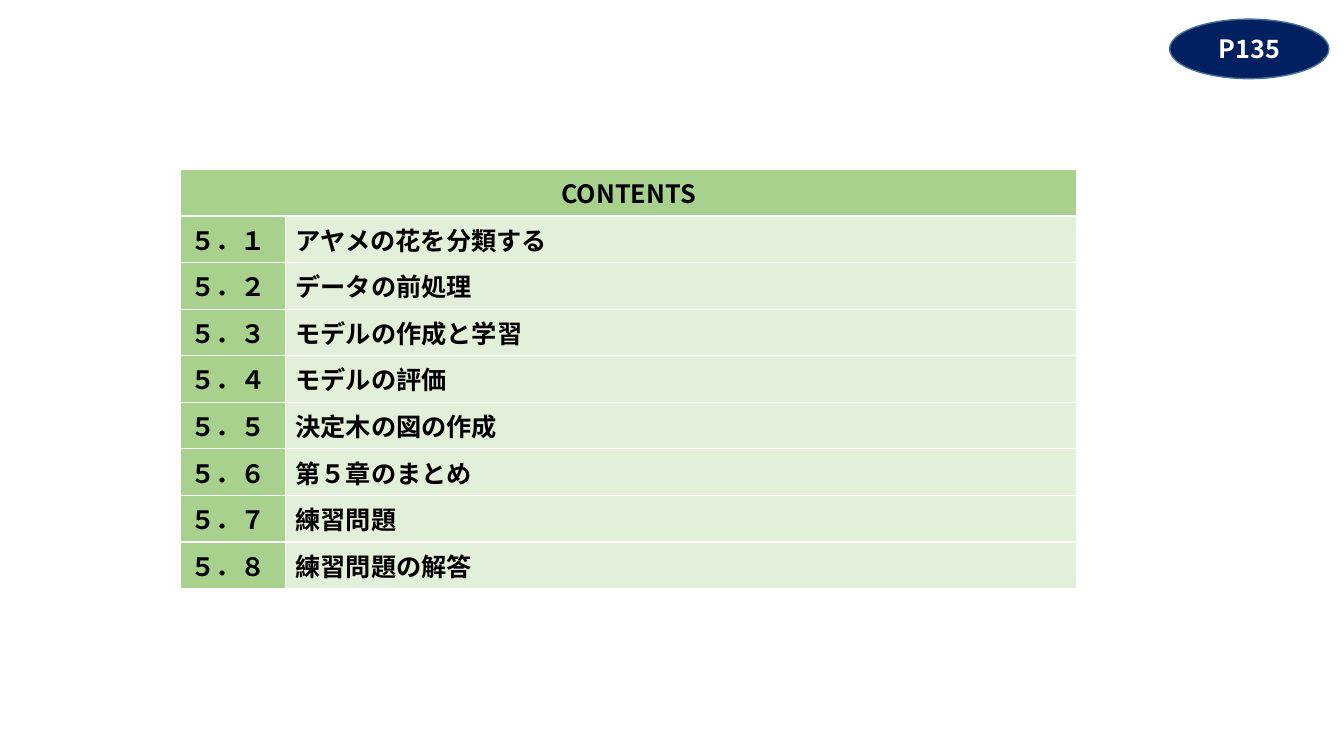
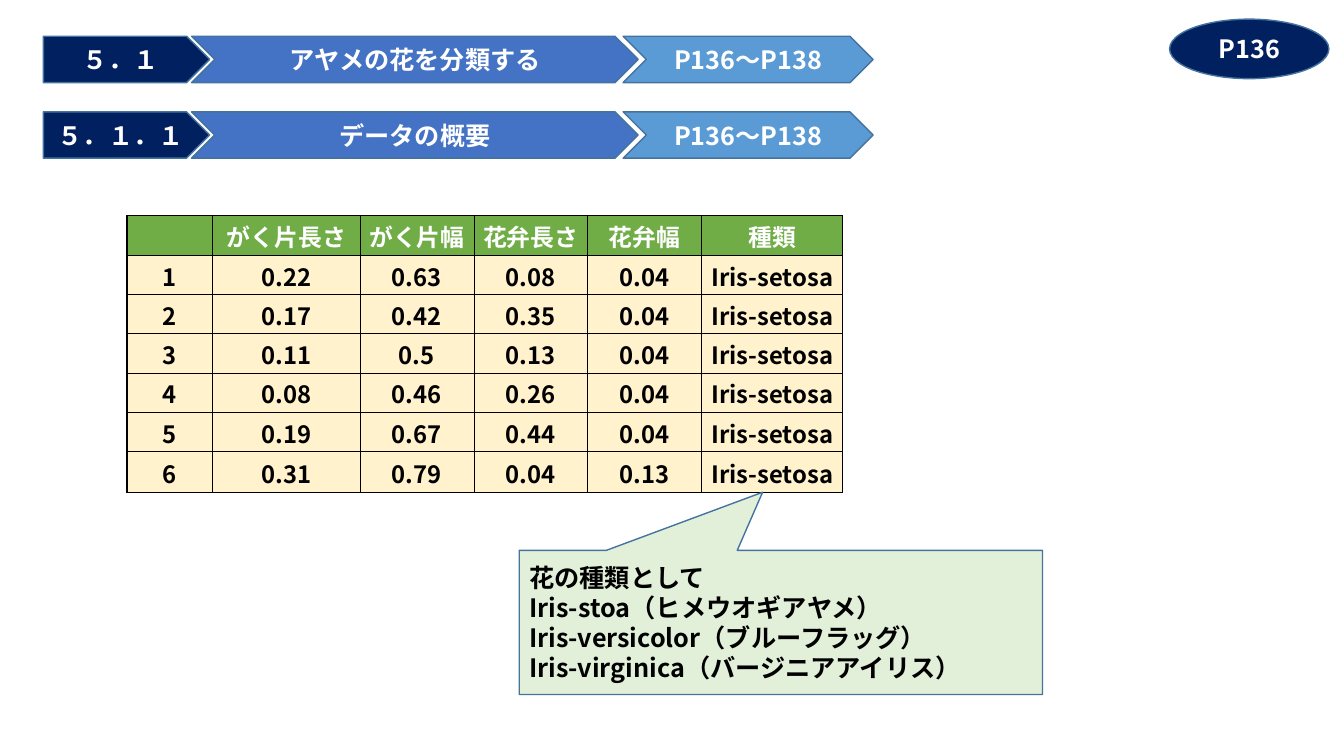
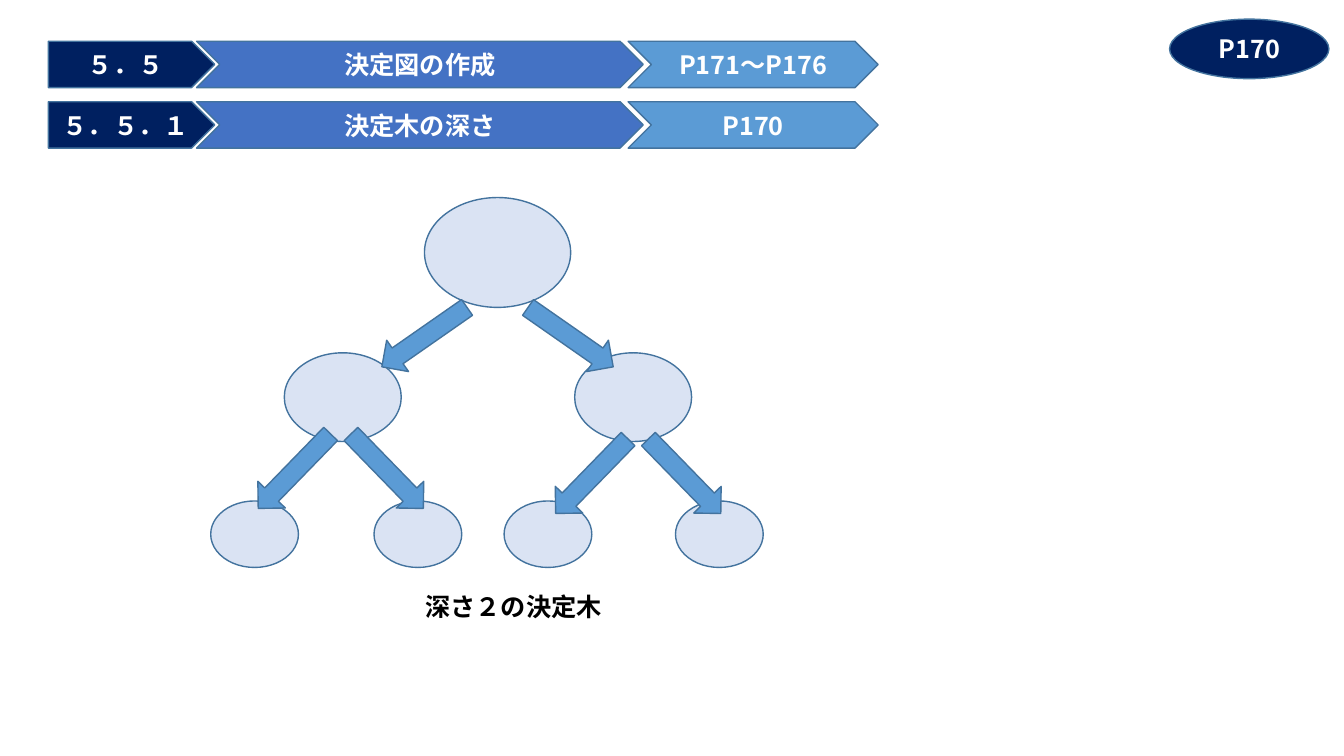
"""Build three slides on classifying iris flowers: contents, data overview and tree depth."""
from lxml import etree
from pptx import Presentation
from pptx.dml.color import RGBColor
from pptx.enum.shapes import MSO_SHAPE
from pptx.enum.text import MSO_ANCHOR, PP_ALIGN
from pptx.oxml.ns import qn
from pptx.util import Inches, Pt

ELLIPSE = MSO_SHAPE.OVAL
PENTAGON = MSO_SHAPE.PENTAGON
CHEVRON = MSO_SHAPE.CHEVRON
DOWN_ARROW = MSO_SHAPE.DOWN_ARROW
CALLOUT = MSO_SHAPE.RECTANGULAR_CALLOUT
LEFT, CENTER = PP_ALIGN.LEFT, PP_ALIGN.CENTER
TOP, MIDDLE = MSO_ANCHOR.TOP, MSO_ANCHOR.MIDDLE

FONT = "Noto Sans CJK JP"
WHITE, BLACK = "FFFFFF", "000000"
NAVY, BLUE, LIGHT_BLUE, PALE_BLUE = "002060", "4472C4", "5B9BD5", "DAE3F3"
OUTLINE = "43739E"
GREEN, MID_GREEN, PALE_GREEN, CREAM = "70AD47", "A9D18E", "E2F0D9", "FFF2CC"

BADGE_BOX = (11.6, 0.19, 1.58, 0.59)
BAND_HEIGHT = 0.46
BAND_PARTS = [
    (PENTAGON, 0, 1.65, NAVY),
    (CHEVRON, 1.47, 4.43, BLUE),
    (CHEVRON, 5.75, 2.48, LIGHT_BLUE),
]

CONTENTS = [
    ("CONTENTS", ""),
    ("５．１", "アヤメの花を分類する"),
    ("５．２", "データの前処理"),
    ("５．３", "モデルの作成と学習"),
    ("５．４", "モデルの評価"),
    ("５．５", "決定木の図の作成"),
    ("５．６", "第５章のまとめ"),
    ("５．７", "練習問題"),
    ("５．８", "練習問題の解答"),
]
CONTENTS_WIDTHS = [1.04, 7.85]

DATA_BANDS = [
    ("５．１", "アヤメの花を分類する", "P136～P138"),
    ("５．１．１", "データの概要", "P136～P138"),
]
IRIS_ROWS = [
    ("", "がく片長さ", "がく片幅", "花弁長さ", "花弁幅", "種類"),
    ("1", "0.22", "0.63", "0.08", "0.04", "Iris-setosa"),
    ("2", "0.17", "0.42", "0.35", "0.04", "Iris-setosa"),
    ("3", "0.11", "0.5", "0.13", "0.04", "Iris-setosa"),
    ("4", "0.08", "0.46", "0.26", "0.04", "Iris-setosa"),
    ("5", "0.19", "0.67", "0.44", "0.04", "Iris-setosa"),
    ("6", "0.31", "0.79", "0.04", "0.13", "Iris-setosa"),
]
IRIS_WIDTHS = [0.85, 1.46, 1.13, 1.13, 1.13, 1.4]
IRIS_HEIGHTS = [0.39] * 6 + [0.41]
SPECIES_NOTE = [
    "花の種類として",
    "Iris-stoa（ヒメウオギアヤメ）",
    "Iris-versicolor（ブルーフラッグ）",
    "Iris-virginica（バージニアアイリス）",
]

TREE_BANDS = [
    ("５．５", "決定図の作成", "P171～P176"),
    ("５．５．１", "決定木の深さ", "P170"),
]
TREE_LEVELS = [
    {"top": 1.96, "size": (1.45, 1.09), "lefts": [4.21]},
    {"top": 3.5, "size": (1.16, 0.88), "lefts": [2.82, 5.7]},
    {"top": 4.97, "size": (0.87, 0.66), "lefts": [2.09, 3.71, 5, 6.7]},
]
ARROW_SIZE = (0.38, 1.03)
ARROW_PAIRS = [
    {"top": 2.83, "angle": 55.1, "lefts": (4.02, 5.47)},
    {"top": 4.16, "angle": 44.2, "lefts": (2.73, 3.65)},
    {"top": 4.21, "angle": 44.2, "lefts": (5.68, 6.6)},
]
TREE_CAPTION = "深さ２の決定木"


def color(value):
    return RGBColor.from_string(value)


def paint(target, value):
    target.fill.solid()
    target.fill.fore_color.rgb = color(value)


def write(frame, lines, ink, align=CENTER, size=18):
    for index, line in enumerate(lines):
        paragraph = frame.add_paragraph() if index else frame.paragraphs[0]
        paragraph.alignment = align
        run = paragraph.add_run()
        run.text = line
        for name, value in {"size": Pt(size), "bold": True, "name": FONT}.items():
            setattr(run.font, name, value)
        run.font.color.rgb = color(ink)
        east_asian = etree.SubElement(run.font._element, qn("a:ea"))
        east_asian.set("typeface", FONT)


def add_shape(slide, kind, box, fill, lines=(), ink=WHITE, align=CENTER):
    shape = slide.shapes.add_shape(kind, *map(Inches, box))
    shape.shadow.inherit = False
    paint(shape, fill)
    shape.line.color.rgb = color(OUTLINE)
    shape.line.width = Pt(1)
    shape.text_frame.vertical_anchor = MIDDLE
    write(shape.text_frame, lines, ink, align)
    return shape


def add_badge(slide, page):
    add_shape(slide, ELLIPSE, BADGE_BOX, NAVY, [page])


def add_bands(slide, bands, left, top, pitch):
    for row, texts in enumerate(bands):
        for (kind, offset, width, fill), text in zip(BAND_PARTS, texts):
            box = (left + offset, top + row * pitch, width, BAND_HEIGHT)
            add_shape(slide, kind, box, fill, [text])


def add_borders(cell, ink, widths):
    properties = cell._tc.get_or_add_tcPr()
    for side, width in zip("LRTB", widths):
        line = etree.SubElement(properties, qn(f"a:ln{side}"), w=str(Pt(width)))
        fill = etree.SubElement(line, qn("a:solidFill"))
        etree.SubElement(fill, qn("a:srgbClr"), val=ink)


def add_table(slide, position, widths, heights, rows, style):
    box = (*position, sum(widths), sum(heights))
    table = slide.shapes.add_table(len(rows), len(widths), *map(Inches, box)).table
    for column, width in zip(table.columns, widths):
        column.width = Inches(width)
    for table_row, height in zip(table.rows, heights):
        table_row.height = Inches(height)
    outer, inner = style["outer"], style["inner"]
    for row, texts in enumerate(rows):
        for column, text in enumerate(texts):
            cell = table.cell(row, column)
            edges = (column == 0, column == len(widths) - 1, row == 0, row == len(rows) - 1)
            add_borders(cell, style["border"], [outer if edge else inner for edge in edges])
            paint(cell, style["fill"](row, column))
            cell.vertical_anchor = style["anchor"]
            for name, margin in style["margins"].items():
                setattr(cell, name, Inches(margin))
            header = row == 0
            write(cell.text_frame, [text], style["header_ink"] if header else BLACK,
                  CENTER if header else style["align"], style["size"])
    return table


CONTENTS_STYLE = {
    "border": WHITE, "outer": 1, "inner": 1, "anchor": TOP, "margins": {},
    "header_ink": BLACK, "align": LEFT, "size": 18,
    "fill": lambda row, column: PALE_GREEN if row and column else MID_GREEN,
}
IRIS_STYLE = {
    "border": BLACK, "outer": 1, "inner": 0.5, "anchor": MIDDLE,
    "margins": {"margin_left": 0.02, "margin_right": 0.02, "margin_top": 0.02, "margin_bottom": 0},
    "header_ink": WHITE, "align": CENTER, "size": 17,
    "fill": lambda row, column: CREAM if row else GREEN,
}


def build_contents(slide):
    heights = [0.41] * len(CONTENTS)
    table = add_table(slide, (1.79, 1.68), CONTENTS_WIDTHS, heights, CONTENTS, CONTENTS_STYLE)
    table.cell(0, 0).merge(table.cell(0, 1))
    add_badge(slide, "P135")


def build_data_overview(slide):
    add_table(slide, (1.26, 2.14), IRIS_WIDTHS, IRIS_HEIGHTS, IRIS_ROWS, IRIS_STYLE)
    add_bands(slide, DATA_BANDS, 0.43, 0.36, 0.75)
    callout = add_shape(slide, CALLOUT, (5.15, 5.46, 5.19, 1.43), PALE_GREEN,
                        SPECIES_NOTE, BLACK, LEFT)
    callout.adjustments[0] = -0.035
    callout.adjustments[1] = -0.903
    add_badge(slide, "P136")


def build_tree_depth(slide):
    for level in TREE_LEVELS:
        for left in level["lefts"]:
            add_shape(slide, ELLIPSE, (left, level["top"], *level["size"]), PALE_BLUE)
    for pair in ARROW_PAIRS:
        for left, direction in zip(pair["lefts"], (1, -1)):
            arrow = add_shape(slide, DOWN_ARROW, (left, pair["top"], *ARROW_SIZE), LIGHT_BLUE)
            arrow.rotation = direction * pair["angle"]
    caption = slide.shapes.add_textbox(*map(Inches, (4.12, 5.82, 4.01, 0.4)))
    caption.text_frame.word_wrap = True
    write(caption.text_frame, [TREE_CAPTION], BLACK, LEFT)
    add_bands(slide, TREE_BANDS, 0.48, 0.41, 0.6)
    add_badge(slide, "P170")


def main():
    presentation = Presentation()
    presentation.slide_width = Inches(13.33)
    presentation.slide_height = Inches(7.5)
    for build in (build_contents, build_data_overview, build_tree_depth):
        build(presentation.slides.add_slide(presentation.slide_layouts[6]))
    presentation.save("out.pptx")


if __name__ == "__main__":
    main()
